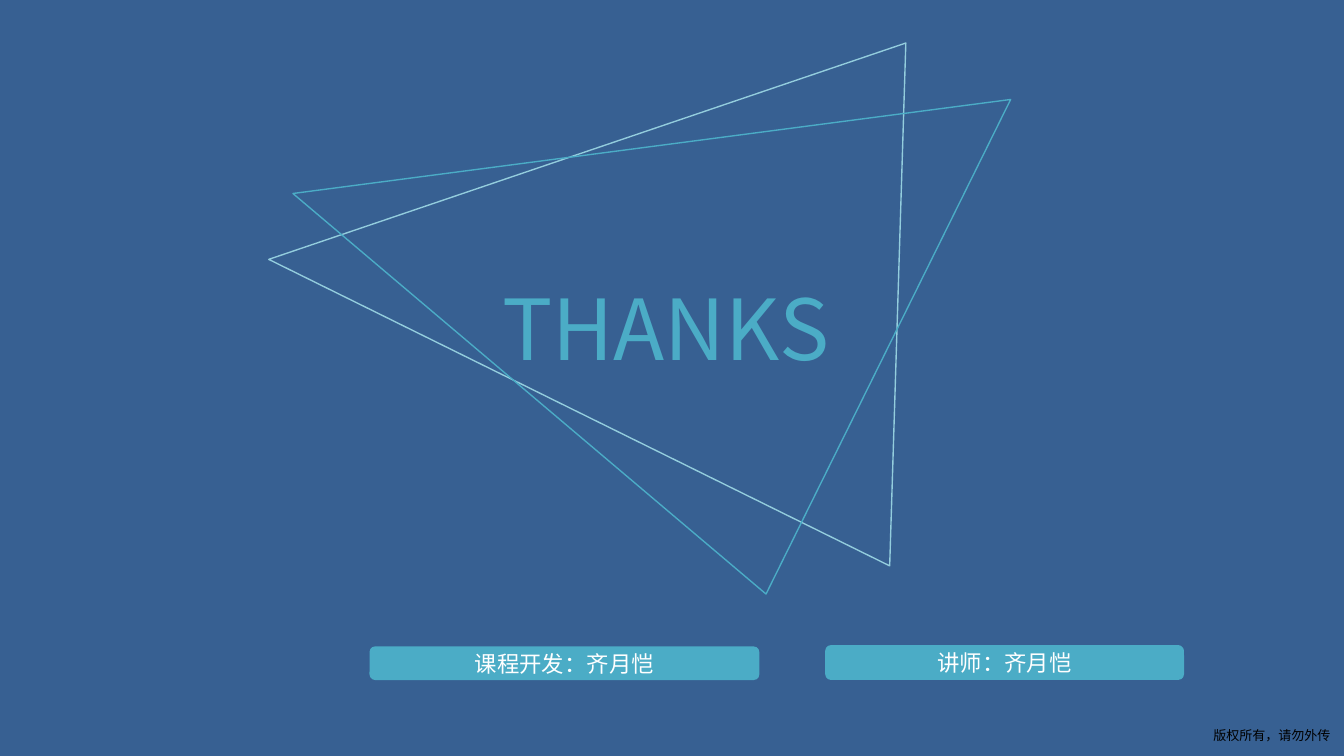
import lxml.etree
import pptx
import pptx.dml.color
import pptx.enum.shapes
import pptx.enum.text
import pptx.oxml.ns
import pptx.util

Inches = pptx.util.Inches
COLORS = {
    "background": "376092",
    "accent": "4BACC6",
    "pale": "93CDDD",
    "white": "FFFFFF",
    "black": "000000",
}
CJK_FONT = "Noto Sans CJK SC"
ANCHOR = pptx.enum.text.MSO_ANCHOR
ALIGN = pptx.enum.text.PP_ALIGN


def color(name):
    """Return the named colour of the slide."""
    return pptx.dml.color.RGBColor.from_string(COLORS[name])


def write(shape, text, size, color_name, font_name, align, frame_format):
    """Put one formatted line of text into a shape."""
    frame = shape.text_frame
    for name, value in frame_format.items():
        setattr(frame, name, value)
    paragraph = frame.paragraphs[0]
    paragraph.alignment = align
    run = paragraph.add_run()
    run.text = text
    for name, value in {"size": pptx.util.Pt(size), "name": font_name}.items():
        setattr(run.font, name, value)
    run.font.color.rgb = color(color_name)
    east_asian = lxml.etree.SubElement(run.font._element, pptx.oxml.ns.qn("a:ea"))
    east_asian.set("typeface", font_name)


def add_text(slide, box, text, size, color_name, font_name, wrap):
    """Add a text box holding a single line."""
    shape = slide.shapes.add_textbox(*map(Inches, box))
    write(shape, text, size, color_name, font_name, ALIGN.LEFT, {"word_wrap": wrap})


def add_triangle(slide, box, corners, color_name):
    """Outline a triangle whose corners are offsets within the box."""
    left, top = box[:2]
    points = [(Inches(left + x), Inches(top + y)) for x, y in corners]
    builder = slide.shapes.build_freeform(*points[0])
    builder.add_line_segments(points[1:], close=True)
    shape = builder.convert_to_shape()
    shape.shadow.inherit = False
    shape.fill.background()
    shape.line.color.rgb = color(color_name)
    shape.line.width = pptx.util.Pt(0.75)


def add_thanks(slide, box):
    """Place the crossed triangles and the closing word in the box."""
    left, top = box[:2]
    add_triangle(slide, box, [(4.74, 0), (0, 1.61), (4.62, 3.89)], "pale")
    add_triangle(slide, box, [(0.18, 1.12), (5.52, 0.42), (3.7, 4.1)], "accent")
    word_box = (left + 1.64, top + 1.69, 2.77, 0.86)
    add_text(slide, word_box, "THANKS", 45, "accent", CJK_FONT, False)


def add_credit(slide, box, text):
    """Add a rounded label with centred text."""
    rounded = pptx.enum.shapes.MSO_SHAPE.ROUNDED_RECTANGLE
    shape = slide.shapes.add_shape(rounded, *map(Inches, box))
    shape.shadow.inherit = False
    shape.fill.solid()
    shape.fill.fore_color.rgb = color("accent")
    shape.line.fill.background()
    frame_format = {
        "word_wrap": True,
        "vertical_anchor": ANCHOR.MIDDLE,
        "margin_top": 0,
        "margin_bottom": 0,
    }
    write(shape, text, 12, "white", CJK_FONT, ALIGN.CENTER, frame_format)


def main():
    """Build the closing slide and save it."""
    presentation = pptx.Presentation()
    presentation.slide_width = Inches(10)
    presentation.slide_height = presentation.slide_width * 9 // 16
    slide = presentation.slides.add_slide(presentation.slide_layouts[6])
    slide.background.fill.solid()
    slide.background.fill.fore_color.rgb = color("background")
    add_text(slide, (8.93, 5.36, 1.27, 0.22), "版权所有，请勿外传", 7, "black", "Arial", True)
    add_thanks(slide, (2, 0.32, 5.52, 4.1))
    add_credit(slide, (2.75, 4.81, 2.9, 0.25), "课程开发：齐月恺")
    add_credit(slide, (6.14, 4.8, 2.67, 0.26), "讲师：齐月恺")
    presentation.save("out.pptx")


if __name__ == "__main__":
    main()
